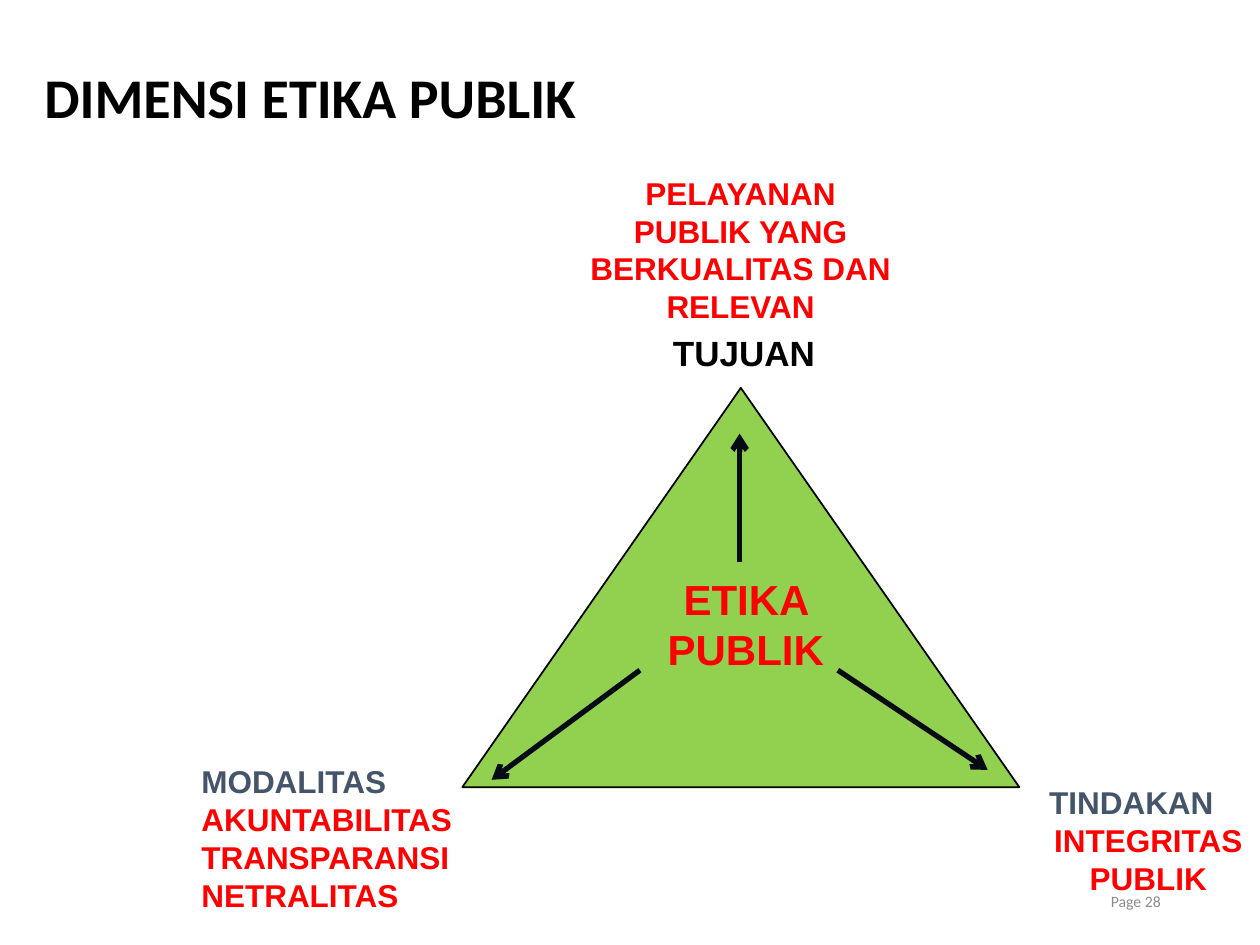
from collections import namedtuple
from dataclasses import dataclass

from lxml import etree
from pptx import Presentation
from pptx.dml.color import RGBColor
from pptx.enum import shapes, text
from pptx.oxml import ns
from pptx.util import Cm, Pt

Box = namedtuple("Box", "x y w h")
LEFT, MID, RIGHT = text.PP_ALIGN.LEFT, text.PP_ALIGN.CENTER, text.PP_ALIGN.RIGHT


@dataclass(frozen=True)
class Theme:
    """Colours, fonts and type sizes of the slide."""
    black: str = "000000"
    red: str = "FF0000"
    slate: str = "44546A"
    grey: str = "8C8C8C"
    green: str = "92D050"
    ink: str = "060B14"
    head: str = "Calibri"
    body: str = "Arial"
    title: int = 32
    core: int = 24
    goal: int = 20
    label: int = 18
    page: int = 9


T = Theme()


def rgb(code):
    """Turn a hex code into a colour."""
    return RGBColor.from_string(code)


def place(shape, box):
    """Move and size a shape in centimetres."""
    shape.left, shape.top, shape.width, shape.height = map(Cm, box)


def write(para, words, size, color, align=LEFT, font=T.body, bold=True):
    """Add one formatted run to a paragraph."""
    para.alignment = align
    run = para.add_run()
    run.text = words
    run.font.name, run.font.size, run.font.bold = font, Pt(size), bold
    run.font.color.rgb = rgb(color)


def label(slide, box, lines, size, **style):
    """Add a wrapping text box of (words, colour, alignment) lines."""
    frame = slide.shapes.add_textbox(*map(Cm, box)).text_frame
    frame.word_wrap = True
    for i, (words, color, align) in enumerate(lines):
        para = frame.add_paragraph() if i else frame.paragraphs[0]
        write(para, words, size, color, align, **style)
    return frame


def arrow(slide, start, end):
    """Draw a line with an open arrowhead at its end."""
    line = slide.shapes.add_connector(
        shapes.MSO_CONNECTOR.STRAIGHT, *map(Cm, (*start, *end)))
    line.line.width = Pt(3)
    line.line.color.rgb = rgb(T.ink)
    tip = etree.SubElement(line.line._get_or_add_ln(), ns.qn("a:tailEnd"))
    tip.set("type", "arrow")
    etree.SubElement(line._element.spPr, ns.qn("a:effectLst"))


def header(slide, box):
    """Fill the title placeholder."""
    title = slide.shapes.title
    place(title, box)
    frame = title.text_frame
    frame.vertical_anchor = text.MSO_ANCHOR.MIDDLE
    para = frame.paragraphs[0]
    para.line_spacing = 0.9
    write(para, "DIMENSI ETIKA PUBLIK", T.title, T.black, font=T.head)


def core(slide, box):
    """Draw the triangle, its name and the arrows to its corners."""
    tri = slide.shapes.add_shape(
        shapes.MSO_SHAPE.ISOSCELES_TRIANGLE, *map(Cm, box))
    tri.shadow.inherit = False
    tri.fill.solid()
    tri.fill.fore_color.rgb = rgb(T.green)
    tri.line.color.rgb = rgb(T.black)
    tri.line.width = Pt(1)
    label(slide, Box(box.x + 3.81, box.y + 3.61, 3.81, 2.31),
          [("ETIKA PUBLIK", T.red, MID)], T.core)
    for x1, y1, x2, y2 in ((3.58, 5.69, 0.59, 7.9),
                           (7.57, 5.69, 10.59, 7.7),
                           (5.59, 3.51, 5.59, 0.92)):
        arrow(slide, (box.x + x1, box.y + y1), (box.x + x2, box.y + y2))


def goal(slide, box):
    """Write the aim above the top corner."""
    label(slide, Box(box.x + 0.87, box.y + 3.17, 5, 1.12),
          [("TUJUAN", T.black, MID)], T.goal)
    label(slide, Box(box.x, box.y, box.w, 3.33),
          [("PELAYANAN PUBLIK YANG BERKUALITAS DAN RELEVAN", T.red, MID)],
          T.label)


def means(slide, box):
    """Write the means beside the left corner."""
    values = ("AKUNTABILITAS", "TRANSPARANSI", "NETRALITAS")
    label(slide, box, [("MODALITAS", T.slate, LEFT)]
          + [(value, T.red, LEFT) for value in values], T.label)


def action(slide, box):
    """Write the action beside the right corner."""
    label(slide, box, [("TINDAKAN", T.slate, LEFT),
                       ("INTEGRITAS PUBLIK", T.red, MID)], T.label)


def footer(slide, box):
    """Write the page number."""
    frame = label(slide, box, [("Page 28", T.grey, RIGHT)], T.page,
                  font=T.head, bold=False)
    frame.vertical_anchor = text.MSO_ANCHOR.MIDDLE


def main():
    """Build and save the slide."""
    deck = Presentation()
    deck.slide_width, deck.slide_height = Cm(25.4), Cm(19.05)
    slide = deck.slides.add_slide(deck.slide_layouts[5])
    header(slide, Box(0.64, 0.84, 23.6, 2.36))
    core(slide, Box(9.32, 7.82, 11.23, 8.05))
    goal(slide, Box(11.63, 3.38, 6.6, 4.29))
    means(slide, Box(3.81, 15.24, 5.99, 3.33))
    action(slide, Box(20.9, 15.67, 4.5, 2.57))
    footer(slide, Box(17.93, 17.65, 5.72, 1.02))
    deck.save("out.pptx")


if __name__ == "__main__":
    main()
